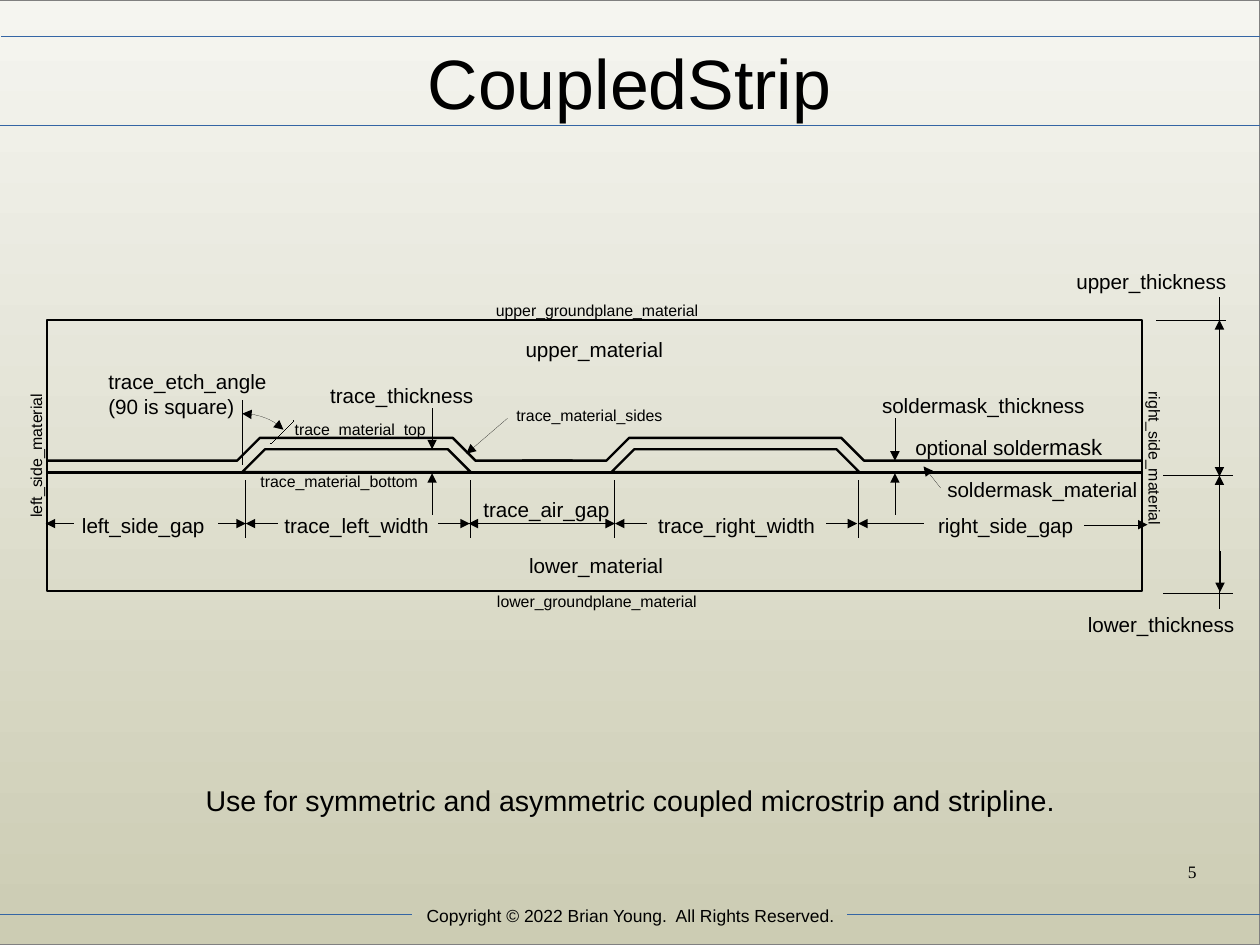
import pptx
import pptx.util
import pptx.dml.color
import pptx.enum.shapes
import pptx.enum.text
import pptx.oxml.ns
from lxml import etree

Pt = pptx.util.Pt
ALIGN = pptx.enum.text.PP_ALIGN
WIDTH, HEIGHT = 793.75, 595.25
BLACK, BLUE, GREY = "000000", "3465A4", "808080"
BOLD = 1.5      # outline weight
HAIR = 0.01     # thinnest line
RISE = 14.4     # height and run of each sloped trace edge
BASE = 297.4    # board surface under the traces
COAT = 290.2    # flat top of the soldermask
GAUGE = 329.8   # row of width arrows

TICKS = [154.8, 296.6, 387.4, 540.7]
# Edge and inner end of each width arrow
SPANS = [(28.8, 46.8), (154.8, 137.5), (154.8, 175), (296, 275.8),
         (295.2, 350.6), (387.4, 332.6), (387.4, 407.5), (540, 520.6),
         (540.7, 581.8)]
# Tip and tail of the other arrows
ARROWS = [
    (722.9, 330.5, 682.6, 330.5),
    (272.2, 283, 272.2, 257), (272.2, 298.1, 272.2, 324.7),
    (563.8, 290.2, 563.8, 263.5), (563.8, 298.1, 563.8, 324.7),
    (293.8, 285.8, 319.7, 263.5), (581.8, 293.8, 592.6, 307.4),
    (768.2, 201.6, 768.2, 237.6), (768.2, 300.2, 768.2, 223.2),
    (768.6, 373, 768.6, 347), (768.2, 299.5, 768.2, 347),
]
LINES = [
    (170.6, 279.4, 185, 265), (152.6, 292.3, 152.6, 252),
    (733, 373.7, 776.2, 373.7), (733, 299.5, 776.2, 299.5),
    (728.6, 201.6, 771.8, 201.6), (768.2, 383, 768.2, 187.2),
]
# Text, left, top, width
LARGE = [
    ("trace_etch_angle\n(90 is square)", 61.2, 229, 116.6),
    ("trace_left_width", 172.1, 319.7, 113.8),
    ("trace_thickness", 200.9, 237.6, 108.7),
    ("left_side_gap", 44.6, 319.7, 93.6),
    ("upper_material", 324, 208.8, 110.2),
    ("lower_material", 326.2, 344.9, 108.7),
    ("lower_thickness", 678.2, 381.6, 113.8),
    ("upper_thickness", 671, 165.6, 115.2),
    ("soldermask_thickness", 548.6, 244.1, 149),
    ("trace_right_width", 407.5, 319.7, 123.1),
    ("trace_air_gap", 297.4, 309.6, 97.2),
    ("right_side_gap", 583.9, 319.7, 103),
    ("soldermask_material", 589.7, 296.6, 144),
]
# Text, left, top, width, turn
SMALL = [
    ("left_side_material", -25.9, 273.6, 98.6, 270),
    ("right_side_material", 673.9, 282.2, 105.8, 90),
    ("trace_material_bottom", 157, 293.8, 121.7, 0),
    ("trace_material_top", 178.6, 260.6, 103, 0),
    ("trace_material_sides", 318.2, 252, 111.6, 0),
    ("lower_groundplane_material", 306, 369.4, 152.6, 0),
    ("upper_groundplane_material", 305.3, 185.8, 153.4, 0),
]


def shade(tint):
    return pptx.dml.color.RGBColor.from_string(tint)


def style(font, size, face="Arial"):
    font.size, font.name = Pt(size), face
    font.color.rgb = shade(BLACK)


def stroke(shape, weight, tint):
    shape.line.color.rgb = shade(tint)
    shape.line.width = Pt(weight)


def tip(shape, *ends):
    line = shape.line._get_or_add_ln()
    for end in ends:
        etree.SubElement(line, pptx.oxml.ns.qn("a:" + end), type="triangle")


def rule(slide, x1, y1, x2, y2, tint=BLACK, arrow=False):
    kind = pptx.enum.shapes.MSO_CONNECTOR.STRAIGHT
    line = slide.shapes.add_connector(kind, Pt(x1), Pt(y1), Pt(x2), Pt(y2))
    stroke(line, HAIR, tint)
    if arrow:
        tip(line, "headEnd")
    etree.SubElement(line._element.spPr, pptx.oxml.ns.qn("a:effectLst"))


def frame(slide, left, top, width, height, weight=BOLD, tint=BLACK):
    kind = pptx.enum.shapes.MSO_SHAPE.RECTANGLE
    box = slide.shapes.add_shape(kind, Pt(left), Pt(top), Pt(width), Pt(height))
    box.fill.background()
    box.shadow.inherit = False
    stroke(box, weight, tint)


def trail(slide, points, close=False, weight=BOLD):
    spots = [(Pt(x), Pt(y)) for x, y in points]
    pen = slide.shapes.build_freeform(*spots[0])
    pen.add_line_segments(spots[1:], close=close)
    shape = pen.convert_to_shape()
    shape.fill.background()
    shape.shadow.inherit = False
    stroke(shape, weight, BLACK)
    return shape


def ridge(left, right, base):
    return [(left, base), (left + RISE, base - RISE),
            (right - RISE, base - RISE), (right, base)]


def label(slide, text, left, top, width, size, turn=0, wrap=False,
          align=ALIGN.LEFT, face="Arial"):
    height = 7.2 + 1.35 * size * len(text.split("\n"))
    box = slide.shapes.add_textbox(Pt(left), Pt(top), Pt(width), Pt(height))
    box.rotation = turn
    box.text_frame.word_wrap = wrap
    box.text_frame.text = text
    for para in box.text_frame.paragraphs:
        para.alignment = align
        for run in para.runs:
            style(run.font, size, face)
    return box


def backdrop(slide):
    fill = slide.background.fill
    fill.gradient()
    fill.gradient_angle = 270
    for stop, tint, place in zip(fill.gradient_stops, ("F5F5F0", "CCCCB3"), (0, 1)):
        stop.color.rgb = shade(tint)
        stop.position = place
    frame(slide, 0, 0, WIDTH, HEIGHT, HAIR, GREY)
    for x1, x2, y in [(259.2, 0, 576), (WIDTH, 534.2, 576),
                      (0, WIDTH, 79.2), (0.7, WIDTH, 23)]:
        rule(slide, x1, y, x2, y, BLUE)


def heading(slide, text):
    title = slide.shapes.title
    title.left, title.top = Pt(39.6), Pt(21.6)
    title.width, title.height = Pt(714.2), Pt(59.8)
    body = title.text_frame
    body.margin_left = body.margin_right = body.margin_top = body.margin_bottom = 0
    body.vertical_anchor = pptx.enum.text.MSO_ANCHOR.MIDDLE
    body.text = text
    body.paragraphs[0].alignment = ALIGN.CENTER
    style(body.paragraphs[0].runs[0].font, 44)


def section(slide):
    # Lower and upper dielectric
    frame(slide, 29.5, 297.4, 689.8, 74.9)
    frame(slide, 29.5, 201.6, 689.8, 96.5)
    # Traces and their soldermask
    for start, left, right, end in [(29.5, 152.6, 296.6, 360.7),
                                    (329, 385.2, 541.4, 719.3)]:
        trail(slide, ridge(left, right, BASE), close=True)
        coat = ridge(left - 3.2, right + 3, COAT)
        trail(slide, [(start, COAT)] + coat + [(end, COAT)])


def gauges(slide):
    for x in TICKS:
        rule(slide, x, 302.4, x, 338.4)
    for edge, stub in SPANS:
        rule(slide, edge, GAUGE, stub, GAUGE, arrow=True)
    for ends in ARROWS:
        rule(slide, *ends, arrow=True)
    for ends in LINES:
        rule(slide, *ends)
    # Etch angle: a cubic curve whose last two controls coincide
    steps = [n / 12 for n in range(13)]
    curve = [(152.6 + 51.9 * t * (1 - t) ** 2 + 26 * (3 * t * t - 2 * t ** 3),
              260.6 + 10.1 * (3 * t * t - 2 * t ** 3)) for t in steps]
    tip(trail(slide, curve, weight=HAIR), "headEnd", "tailEnd")


def main():
    deck = pptx.Presentation()
    deck.slide_width, deck.slide_height = Pt(WIDTH), Pt(HEIGHT)
    slide = deck.slides.add_slide(deck.slide_layouts[5])
    backdrop(slide)
    heading(slide, "CoupledStrip")
    section(slide)
    gauges(slide)

    # Names of the parameters
    for text, left, top, width in LARGE:
        label(slide, text, left, top, width, 13)
    for text, left, top, width, turn in SMALL:
        label(slide, text, left, top, width, 10, turn)
    cover = label(slide, "optional solder", 569.5, 269.3, 143.3, 13)
    rest = cover.text_frame.paragraphs[0].add_run()
    rest.text = "mask"
    style(rest.font, 14)

    # Remark, page number and footer
    label(slide, "Use for symmetric and asymmetric coupled microstrip and stripline.",
          122.4, 489.6, 601.2, 18, wrap=True)
    label(slide, "5", 568.8, 538.6, 192.2, 11, wrap=True,
          align=ALIGN.RIGHT, face="Times New Roman")
    label(slide, "Copyright © 2022 Brian Young.  All Rights Reserved.",
          242.6, 566.6, 309.6, 11, wrap=True, align=ALIGN.CENTER)
    deck.save("out.pptx")


if __name__ == "__main__":
    main()
